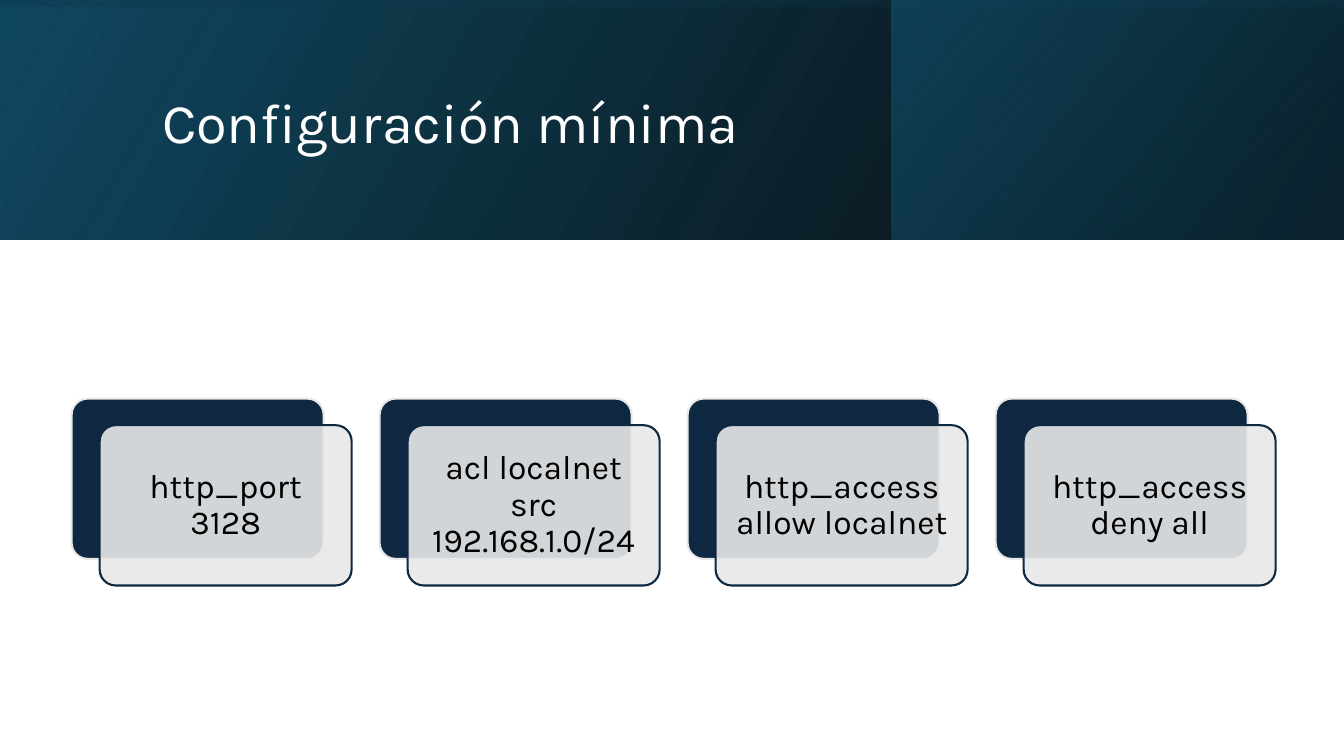
from lxml import etree
from pptx import Presentation
from pptx.dml.color import RGBColor
from pptx.enum.shapes import MSO_SHAPE
from pptx.enum.text import MSO_ANCHOR, PP_ALIGN
from pptx.oxml.ns import qn
from pptx.util import Pt

RECTANGLE = MSO_SHAPE.RECTANGLE
ROUNDED = MSO_SHAPE.ROUNDED_RECTANGLE
MIDDLE = MSO_ANCHOR.MIDDLE
LEFT, CENTER = PP_ALIGN.LEFT, PP_ALIGN.CENTER

BLACK = RGBColor(0x00, 0x00, 0x00)
WHITE = RGBColor(0xFF, 0xFF, 0xFF)
NAVY = RGBColor(0x0E, 0x28, 0x41)
PALE_GRAY = RGBColor(0xE8, 0xE8, 0xE8)
DEEP_BLUE = RGBColor(0x10, 0x48, 0x62)
DARK_BLUE = RGBColor(0x0B, 0x30, 0x41)
TEAL = RGBColor(0x15, 0x60, 0x82)

FONT = "Karla"
DIRECTIVES = [
    "http_port 3128",
    "acl localnet src 192.168.1.0/24",
    "http_access allow localnet",
    "http_access deny all",
]


def set_opacity(shape, percents):
    """Give each explicit colour of the shape its opacity in percent."""
    colors = list(shape.element.spPr.iter(qn("a:srgbClr")))
    for color, percent in zip(colors, percents):
        etree.SubElement(color, qn("a:alpha"), val=str(percent * 1000))


def add_text(shape, text, size, color, alignment):
    """Write one vertically centred paragraph in the shape."""
    frame = shape.text_frame
    frame.word_wrap = True
    frame.vertical_anchor = MIDDLE
    paragraph = frame.paragraphs[0]
    paragraph.alignment = alignment
    paragraph.line_spacing = 0.9
    run = paragraph.add_run()
    run.text = text
    run.font.name = FONT
    run.font.size = Pt(size)
    run.font.color.rgb = color


def add_gradient(slide, left, top, width, height, stops, angle, rotation=0):
    """Add a mirrored rectangle with a two-stop translucent gradient."""
    shape = slide.shapes.add_shape(
        RECTANGLE, Pt(left), Pt(top), Pt(width), Pt(height))
    shape.shadow.inherit = False
    shape.rotation = rotation
    shape.element.spPr.xfrm.set("flipH", "1")
    shape.fill.gradient()
    shape.fill.gradient_angle = angle
    for stop, (position, color, _) in zip(shape.fill.gradient_stops, stops):
        stop.position = position
        stop.color.rgb = color
    set_opacity(shape, [opacity for _, _, opacity in stops])
    shape.line.fill.background()


def add_banner(slide, left, top, width, height):
    """Layer the gradients of the header band and set the title on it."""
    add_gradient(slide, left, top, width, height,
                 [(0, BLACK, 96), (1, DEEP_BLUE, 100)], 30)
    panel_width = 323
    add_gradient(slide, left + width - panel_width, top, panel_width, height,
                 [(0.19, DARK_BLUE, 68), (1, TEAL, 48)], 40)
    shift = (width - height) / 2
    add_gradient(slide, left + shift, top - shift, height, width,
                 [(0.23, DEEP_BLUE, 16), (0.99, BLACK, 45)], 10, 270)
    title = slide.shapes.add_textbox(
        Pt(left + 108.7), Pt(top + 27.4), Pt(765.4), Pt(123.8))
    add_text(title, "Configuración mínima", 40, WHITE, LEFT)


def add_panel(slide, left, top, width, height, fill, line):
    """Add one outlined rounded rectangle."""
    shape = slide.shapes.add_shape(
        ROUNDED, Pt(left), Pt(top), Pt(width), Pt(height))
    shape.shadow.inherit = False
    shape.adjustments[0] = 0.1
    shape.fill.solid()
    shape.fill.fore_color.rgb = fill
    set_opacity(shape, [100 if fill == NAVY else 90])
    shape.line.color.rgb = line
    shape.line.width = Pt(1.5)
    return shape


def add_card(slide, left, top, width, height, directive):
    """Place a directive on a pale panel offset over a navy panel."""
    offset_x, offset_y = 20, 19
    panel_width, panel_height = width - offset_x, height - offset_y
    add_panel(slide, left, top, panel_width, panel_height, NAVY, PALE_GRAY)
    front = add_panel(slide, left + offset_x, top + offset_y,
                      panel_width, panel_height, PALE_GRAY, NAVY)
    frame = front.text_frame
    frame.margin_left = frame.margin_right = Pt(7.2)
    frame.margin_top = frame.margin_bottom = Pt(7.2)
    add_text(front, directive, 24, BLACK, CENTER)


def add_cards(slide, left, top, width, height):
    """Spread the directive cards evenly across the box."""
    gap = 20
    count = len(DIRECTIVES)
    card_width = (width - gap * (count - 1)) / count
    for index, directive in enumerate(DIRECTIVES):
        add_card(slide, left + index * (card_width + gap), top,
                 card_width, height, directive)


def main():
    """Build and save the slide."""
    presentation = Presentation()
    presentation.slide_width = Pt(960)
    presentation.slide_height = Pt(540)
    slide = presentation.slides.add_slide(presentation.slide_layouts[6])
    add_banner(slide, 0, 0, 960, 171)
    add_cards(slide, 51.2, 284.7, 860, 133.5)
    presentation.save("out.pptx")


if __name__ == "__main__":
    main()
